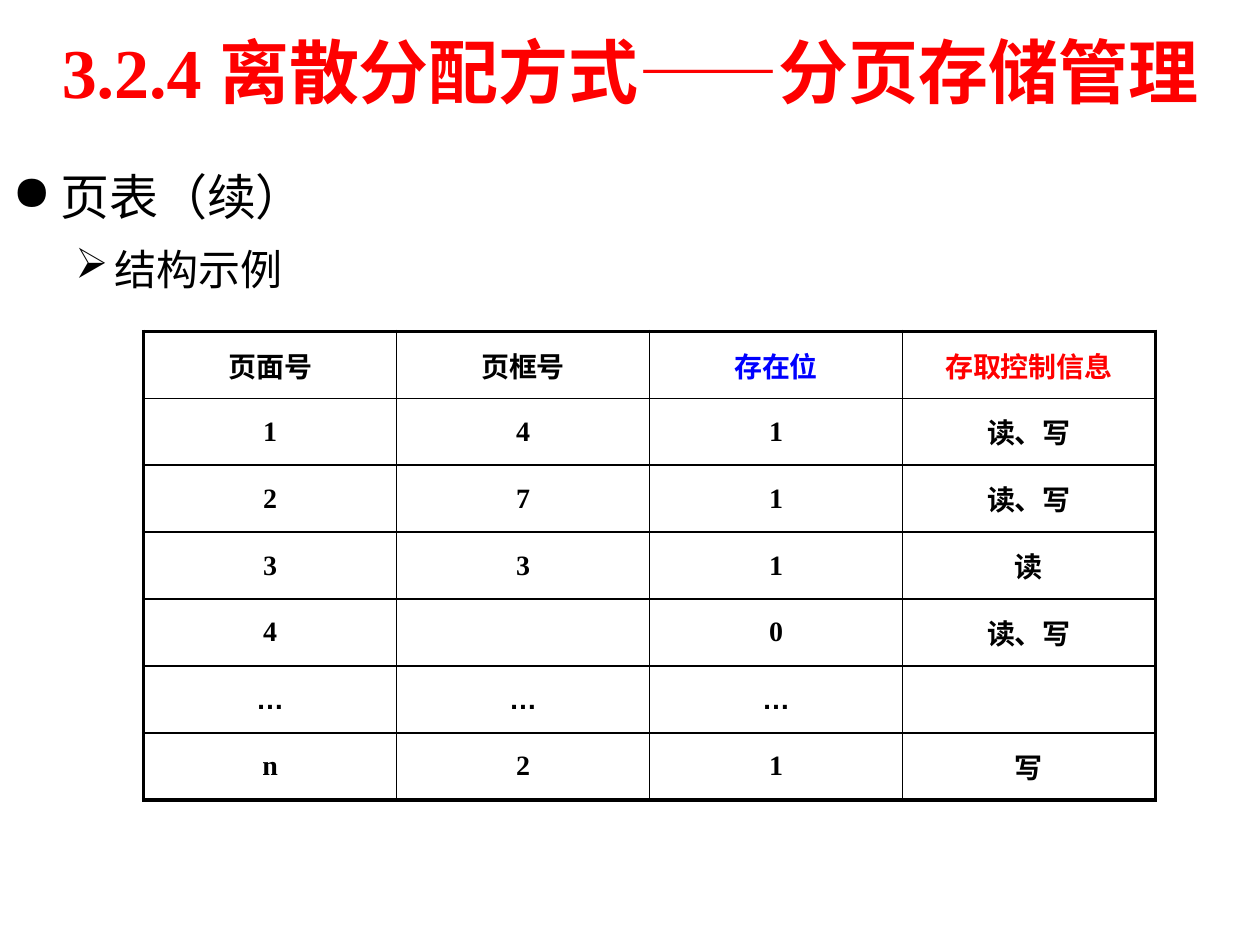
from lxml.etree import SubElement
from pptx import Presentation
from pptx.dml.color import RGBColor
from pptx.enum.text import MSO_ANCHOR as Anchor, PP_ALIGN as Align
from pptx.oxml.ns import qn
from pptx.util import Inches, Pt


def style(span, size, color="000000", **formats):
    span.font.color.rgb = RGBColor.from_string(color)
    for name, value in ({"name": "Times New Roman", "size": Pt(size)} | formats).items():
        setattr(span.font, name, value)


def add_border(cell, side, width):
    line = SubElement(cell._tc.get_or_add_tcPr(), qn(f"a:ln{side}"), w=str(Pt(width)))
    fill = SubElement(line, qn("a:solidFill"))
    SubElement(fill, qn("a:srgbClr"), val="000000")


deck = Presentation()
deck.slide_width, deck.slide_height = Inches(10), Inches(7.5)
page = deck.slides.add_slide(deck.slide_layouts[6])

body = page.shapes.add_textbox(0, Inches(1.27), Inches(9.73), Inches(5.39)).text_frame
body.word_wrap = True
outline = [
    ("页表（续）", 28, "●", 0, 0.38, 0.38),
    ("结构示例", 24, "➢", 1, 0.81, 0.31),
]
for index, (text, size, bullet, level, margin, hanging) in enumerate(outline):
    para = body.add_paragraph() if index else body.paragraphs[0]
    para.level = level
    para.space_before = para.space_after = Pt(size * 0.2)
    span = para.add_run()
    span.text = text
    style(span, size)
    settings = para._p.get_or_add_pPr()
    settings.set("marL", str(Inches(margin)))
    settings.set("indent", str(-Inches(hanging)))
    SubElement(settings, qn("a:buChar"), char=bullet)

title = page.shapes.add_textbox(0, Inches(0.05), deck.slide_width, Inches(1.02)).text_frame
title.word_wrap = True
title.vertical_anchor = Anchor.MIDDLE
para = title.paragraphs[0]
para.alignment = Align.CENTER
span = para.add_run()
span.text = "3.2.4 离散分配方式——分页存储管理"
style(span, 40, "FE0000", bold=True)

rows = [
    ["页面号", "页框号", "存在位", "存取控制信息"],
    ["1", "4", "1", "读、写"],
    ["2", "7", "1", "读、写"],
    ["3", "3", "1", "读"],
    ["4", "", "0", "读、写"],
    ["…", "…", "…", ""],
    ["n", "2", "1", "写"],
]
header_colors = ["000000", "000000", "0000FF", "FF0000"]
last_row, last_column = len(rows) - 1, len(header_colors) - 1
frame = page.shapes.add_table(
    len(rows), len(header_colors), Inches(1.14), Inches(2.63), Inches(8.03), Inches(3.72)
)
page_table = frame.table
page_table.first_row = page_table.horz_banding = False
for r, row in enumerate(rows):
    for c, text in enumerate(row):
        cell = page_table.cell(r, c)
        cell.vertical_anchor = Anchor.MIDDLE
        edges = {"L": c == 0, "R": c == last_column, "T": r == 0, "B": r == last_row}
        for side, outer in edges.items():
            add_border(cell, side, 2.25 if outer else 1)
        cell.fill.background()
        para = cell.text_frame.paragraphs[0]
        para.alignment = Align.CENTER
        para.space_before = Pt(3.2)
        if text:
            span = para.add_run()
            span.text = text
            font = "Arial" if text == "…" else "Times New Roman"
            style(span, 16, "000000" if r else header_colors[c], bold=True, name=font)

deck.save("out.pptx")
